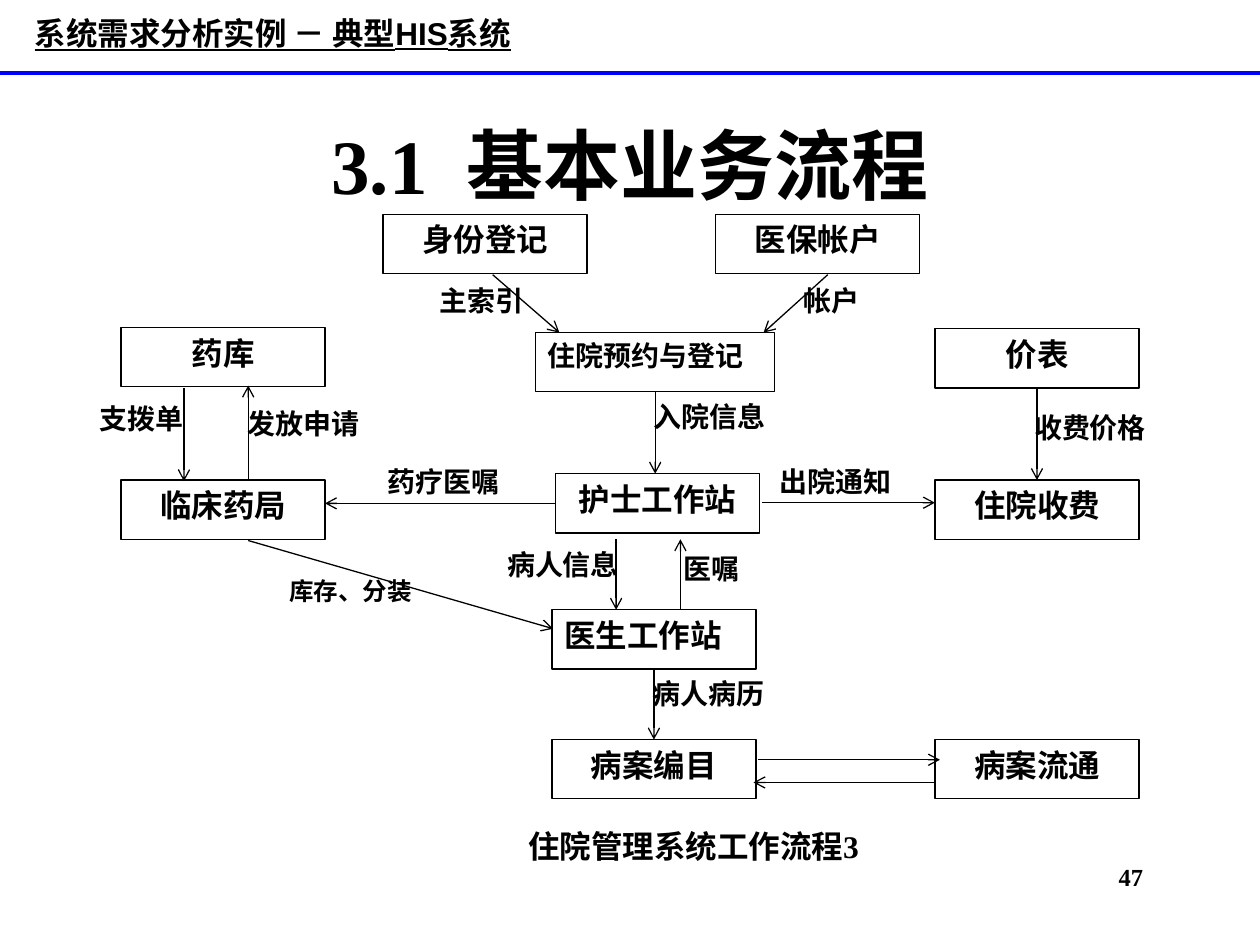
from dataclasses import dataclass

from lxml.etree import SubElement
from pptx import Presentation
from pptx.dml.color import RGBColor
from pptx.enum.shapes import MSO_CONNECTOR, MSO_SHAPE
from pptx.enum.text import MSO_ANCHOR, PP_ALIGN
from pptx.oxml.ns import qn
from pptx.util import Inches, Pt

CELL = 0.1  # inches; the slide is a grid of 100 columns by 75 rows
COLUMNS, ROWS = 100, 75
BOX_WIDTH, BOX_HEIGHT = 16.2, 4.7
LEFT, MIDDLE, RIGHT = 9.6, 43.8, 74.2
LABEL_HEIGHT = 4.1
BOTTOM_SIDE, LEFT_SIDE, TOP_SIDE, RIGHT_SIDE = 2, 1, 0, 3
CENTER, START, END = PP_ALIGN.CENTER, PP_ALIGN.JUSTIFY, PP_ALIGN.RIGHT


@dataclass(frozen=True)
class Theme:
    ink: RGBColor = RGBColor(0, 0, 0)
    rule: RGBColor = RGBColor(0, 0, 255)
    body_font: str = "Times New Roman"
    header_font: str = "Arial"
    title: int = 44
    box: int = 18
    label: int = 16
    small: int = 14
    line: float = 0.75
    rule_line: float = 2.25


THEME = Theme()

# text: column, row
BOXES = {
    "身份登记": (30.4, 17),
    "医保帐户": (56.8, 17),
    "药库": (LEFT, 26),
    "价表": (RIGHT, 26.1),
    "临床药局": (LEFT, 38.1),
    "护士工作站": (44.1, 37.6),
    "住院收费": (RIGHT, 38.1),
    "病案编目": (MIDDLE, 58.7),
    "病案流通": (RIGHT, 58.7),
}

# text, column, row, width, alignment
LABELS = [
    ("主索引", 29.9, 22, 12.6, END),
    ("帐户", 62.8, 22, 10.8, START),
    ("支拨单", 5.1, 31.4, 12.3, CENTER),
    ("发放申请", 18.4, 31.8, 11.4, CENTER),
    ("入院信息", 50.9, 31.2, 11.4, START),
    ("收费价格", 81.1, 32.1, 14.6, START),
    ("药疗医嘱", 29.8, 36.4, 13.5, START),
    ("出院通知", 60.9, 36.4, 11.3, START),
    ("病人信息", 38.7, 43, 11.4, END),
    ("医嘱", 53.3, 43.3, 8.2, START),
    ("病人病历", 50.8, 53.2, 12, START),
]

# start point, end point
FREE_ARROWS = [
    ((39.1, 21.8), (44.4, 26.4)),
    ((65.7, 21.8), (60.6, 26.4)),
    ((14.6, 30.8), (14.6, 38.2)),
    ((19.7, 38.1), (19.7, 30.6)),
    ((19.7, 42.9), (43.9, 49.9)),
    ((48.9, 42.8), (48.9, 48.4)),
    ((54, 48.4), (54, 42.8)),
    ((60.2, 60.3), (74.6, 60.3)),
    ((74.2, 62.1), (59.8, 62.1)),
    ((60.5, 39.9), (74.2, 39.9)),
]

# start box, its side, end box, its side
JOINED_ARROWS = [
    ("价表", BOTTOM_SIDE, "住院收费", TOP_SIDE),
    ("医生工作站", BOTTOM_SIDE, "病案编目", TOP_SIDE),
]

# start box, its side, end point level with the start
HALF_JOINED_ARROWS = [
    ("住院预约与登记", BOTTOM_SIDE, (52, 37.6)),
    ("护士工作站", LEFT_SIDE, (25.8, 39.95)),
]


def cells(*counts):
    return [Inches(count * CELL) for count in counts]


def write(shape, text, size, align, font=THEME.body_font, anchor=MSO_ANCHOR.TOP):
    frame = shape.text_frame
    frame.word_wrap = True
    frame.vertical_anchor = anchor
    paragraph = frame.paragraphs[0]
    paragraph.text = text
    paragraph.alignment = align
    paragraph.font.name = font
    paragraph.font.size = Pt(size)
    paragraph.font.bold = True
    paragraph.font.color.rgb = THEME.ink
    return paragraph


def add_text(slide, area, text, size, align, **style):
    shape = slide.shapes.add_textbox(*cells(*area))
    write(shape, text, size, align, **style)
    return shape


def add_box(slide, text, column, row, width=BOX_WIDTH, size=THEME.box, align=CENTER):
    area = cells(column, row, width, BOX_HEIGHT)
    shape = slide.shapes.add_shape(MSO_SHAPE.RECTANGLE, *area)
    shape.shadow.inherit = False
    shape.fill.background()
    shape.line.color.rgb = THEME.ink
    shape.line.width = Pt(THEME.line)
    write(shape, text, size, align)
    return shape


def add_line(slide, start, end, color, width):
    line = slide.shapes.add_connector(MSO_CONNECTOR.STRAIGHT, *cells(*start, *end))
    line.line.color.rgb = color
    line.line.width = Pt(width)
    SubElement(line._element.spPr, qn("a:effectLst"))
    return line


def add_arrow(slide, start=(0, 0), end=(0, 0)):
    arrow = add_line(slide, start, end, THEME.ink, THEME.line)
    SubElement(arrow.line._get_or_add_ln(), qn("a:tailEnd"), type="arrow")
    return arrow


def add_header(slide):
    add_line(slide, (0, 5.8), (COLUMNS, 5.8), THEME.rule, THEME.rule_line)
    header = add_text(slide, (0.4, 0.8, 42.5, 3.6), "系统需求分析实例 － 典型HIS系统",
                      THEME.box, CENTER, font=THEME.header_font, anchor=MSO_ANCHOR.MIDDLE)
    header.text_frame.word_wrap = False
    header.text_frame.paragraphs[0].font.underline = True
    add_text(slide, (7.5, 6.7, 85, 12.5), "3.1  基本业务流程",
             THEME.title, CENTER, anchor=MSO_ANCHOR.MIDDLE)


def add_boxes(slide):
    boxes = {text: add_box(slide, text, *place) for text, place in BOXES.items()}
    boxes["住院预约与登记"] = add_box(slide, "住院预约与登记", 42.5, 26.4, 19, THEME.label, START)
    boxes["医生工作站"] = add_box(slide, "医生工作站", MIDDLE, 48.4, align=START)
    return boxes


def add_arrows(slide, boxes):
    for start, end in FREE_ARROWS:
        add_arrow(slide, start, end)
    for source, source_side, target, target_side in JOINED_ARROWS:
        arrow = add_arrow(slide)
        arrow.begin_connect(boxes[source], source_side)
        arrow.end_connect(boxes[target], target_side)
    for source, side, end in HALF_JOINED_ARROWS:
        add_arrow(slide, end, end).begin_connect(boxes[source], side)


def add_labels(slide):
    for text, column, row, width, align in LABELS:
        add_text(slide, (column, row, width, LABEL_HEIGHT), text, THEME.label, align)
    add_text(slide, (21, 45.2, 12.7, 4.7), "库存、分装", THEME.small, END)


def add_footer(slide):
    caption = add_text(slide, (34.9, 65.5, 40.3, 3.5), "住院管理系统工作流程3",
                       THEME.box, CENTER)
    frame = caption.text_frame
    frame.margin_left = frame.margin_right = Inches(0.01)
    frame.margin_top = frame.margin_bottom = Inches(0.01)
    add_text(slide, (70.9, 67.9, 20.8, 5), "47", THEME.small, END)


def main():
    presentation = Presentation()
    presentation.slide_width, presentation.slide_height = cells(COLUMNS, ROWS)
    slide = presentation.slides.add_slide(presentation.slide_layouts[6])
    add_header(slide)
    boxes = add_boxes(slide)
    add_arrows(slide, boxes)
    add_labels(slide)
    add_footer(slide)
    presentation.save("out.pptx")


if __name__ == "__main__":
    main()
